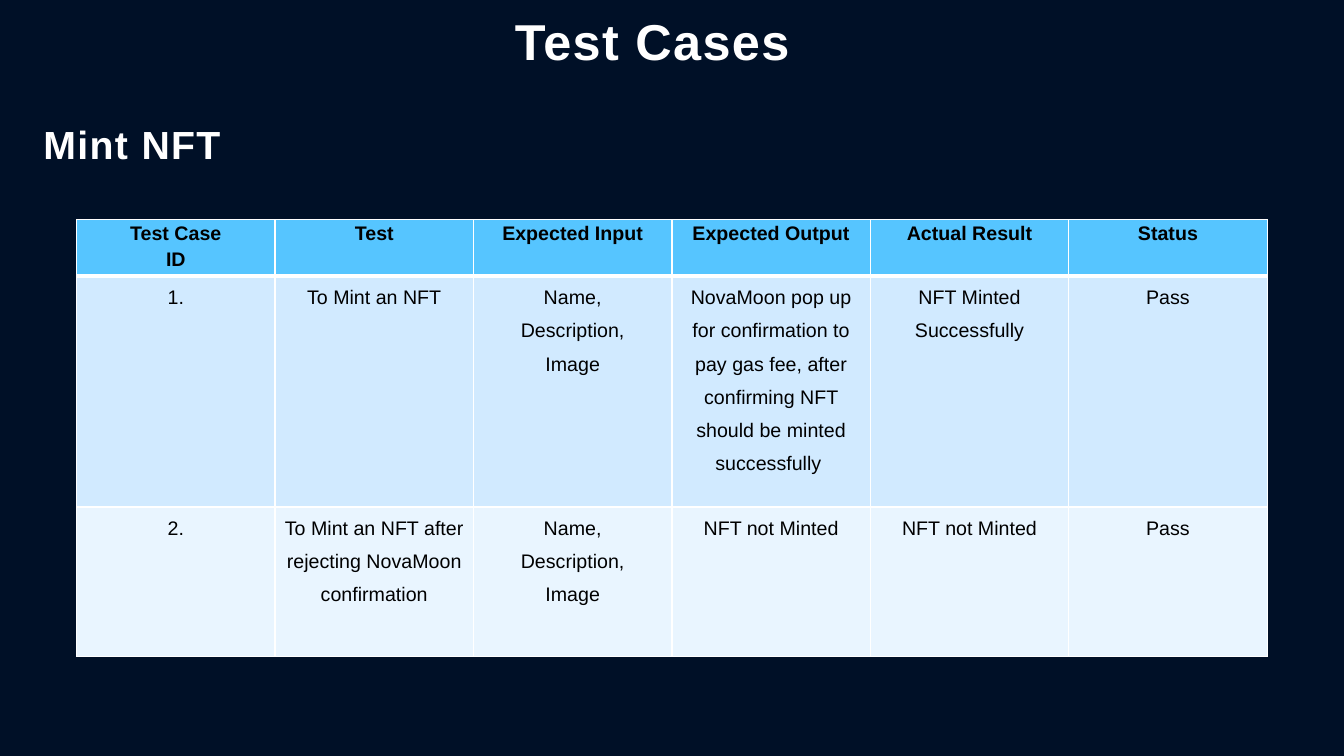
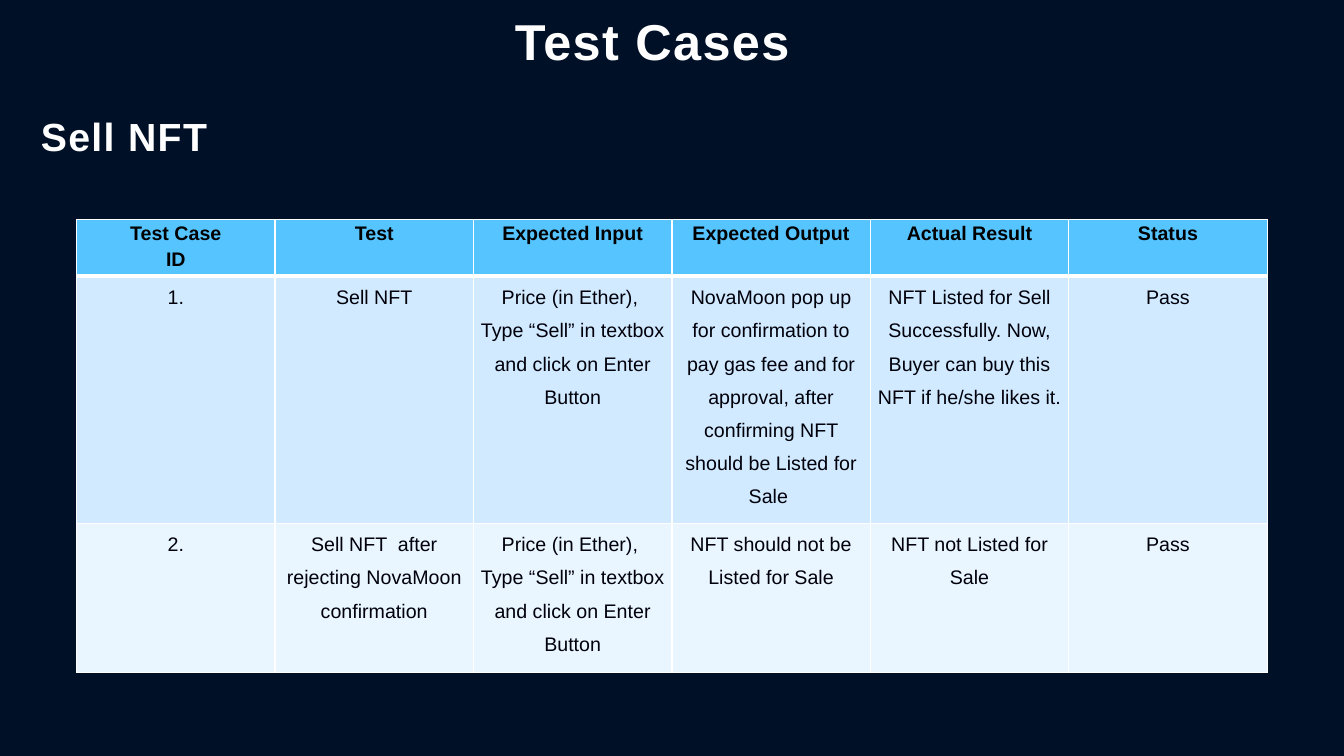
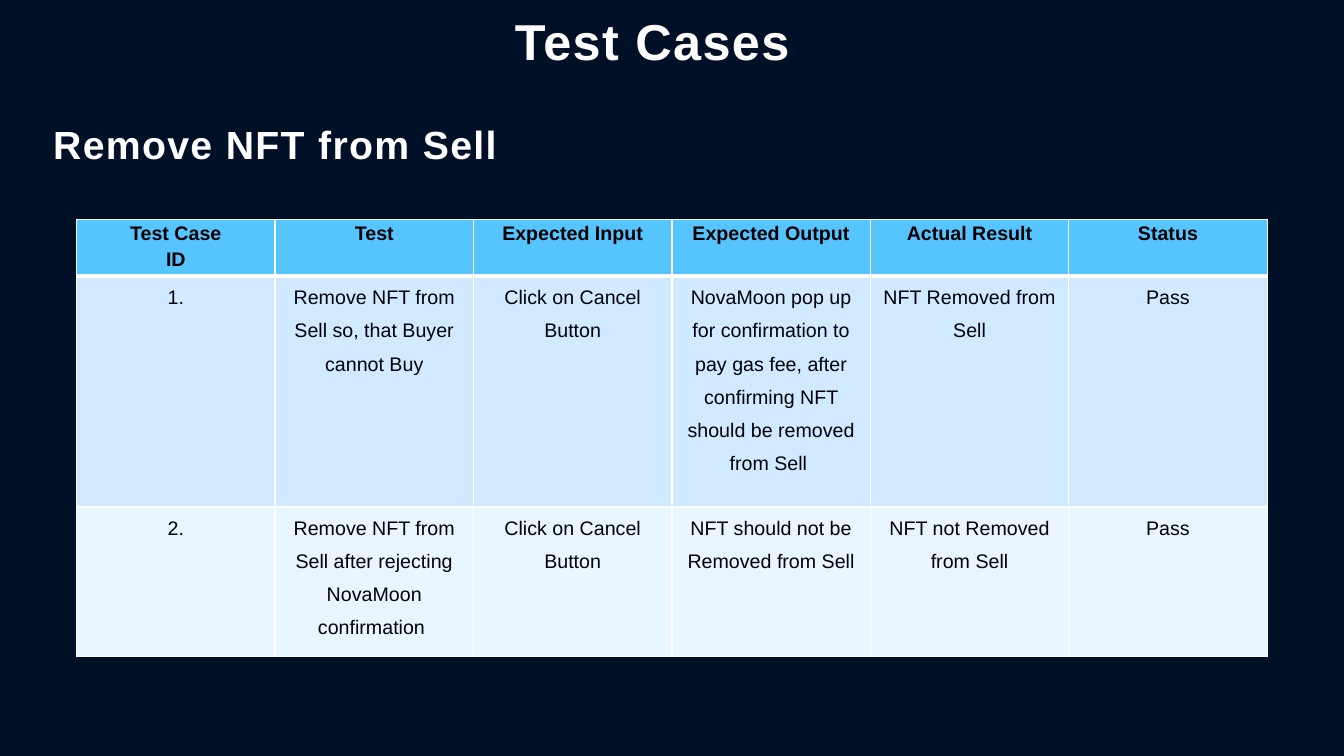
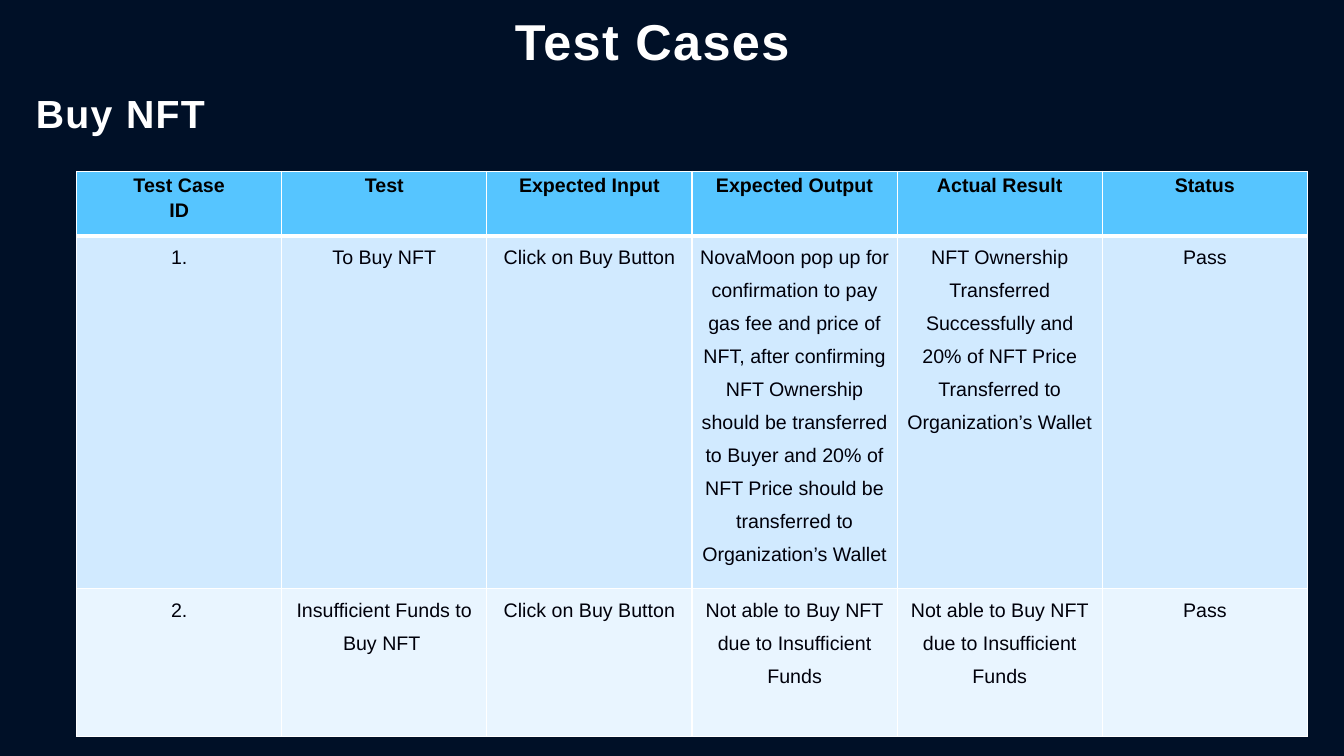
"""Build four slides of NFT marketplace test cases."""
from lxml import etree
from pptx import Presentation
from pptx import util as u
from pptx.dml.color import RGBColor
from pptx.enum import text
from pptx.oxml.ns import qn

FONT = "Arial"
NAVY, WHITE, BLACK, INK = "001027", "FFFFFF", "000000", "00000A"
ROW_FILLS = ["56C5FF", "D1EAFF", "E9F5FF"]
TITLE = "Test Cases"
TITLE_BOX = (4.46, 0.05, 4.02, 0.79)
TABLE_LEFT = 0.76
GRID = {"top": 2.18, "width": 11.81, "rows": [0.56, 2.29, 1.48]}
TALL_GRID = {"top": 1.7, "width": 12.21, "rows": [0.64, 3.34, 1.47]}

HEADER = ["Test Case\nID", "Test", "Expected Input", "Expected Output",
          "Actual Result", "Status"]
MINT_INPUT = "Name,\nDescription,\nImage"
SELL_INPUT = "Price (in Ether), \nType “Sell” in textbox and click on Enter Button"
NO_FUNDS = "Not able to Buy NFT due to Insufficient Funds"

SLIDES = [
    {"heading": "Mint NFT", "box": (0.21, 1.14, 2.2, 0.63),
     "grid": GRID, "color": BLACK, "cases": [
         ["To Mint an NFT", MINT_INPUT,
          "NovaMoon pop up for confirmation to pay gas fee, after confirming "
          "NFT should be minted successfully ",
          "NFT Minted Successfully", "Pass"],
         ["To Mint an NFT after rejecting NovaMoon confirmation", MINT_INPUT,
          "NFT not Minted", "NFT not Minted", "Pass"]]},
    {"heading": "Sell NFT", "box": (0.13, 1.07, 2.2, 0.63),
     "grid": GRID, "color": INK, "cases": [
         ["Sell NFT", SELL_INPUT,
          "NovaMoon pop up for confirmation to pay gas fee and for approval, "
          "after confirming NFT should be Listed for Sale ",
          "NFT Listed for Sell Successfully. Now, Buyer can buy this NFT "
          "if he/she likes it.", "Pass"],
         ["Sell NFT  after rejecting NovaMoon confirmation", SELL_INPUT,
          "NFT should not be Listed for Sale", "NFT not Listed for Sale",
          "Pass"]]},
    {"heading": "Remove NFT from Sell", "box": (0.21, 1.14, 5.04, 0.63),
     "grid": GRID, "color": INK, "cases": [
         ["Remove NFT from Sell so, that Buyer cannot Buy",
          "Click on Cancel Button",
          "NovaMoon pop up for confirmation to pay gas fee, after confirming "
          "NFT should be removed from Sell ",
          "NFT Removed from Sell", "Pass"],
         ["Remove NFT from Sell after rejecting NovaMoon confirmation ",
          "Click on Cancel Button", "NFT should not be Removed from Sell",
          "NFT not Removed from Sell", "Pass"]]},
    {"heading": "Buy NFT", "box": (0.21, 0.84, 1.97, 0.63),
     "grid": TALL_GRID, "color": INK, "cases": [
         ["To Buy NFT", "Click on Buy Button",
          "NovaMoon pop up for confirmation to pay gas fee and price of NFT, "
          "after confirming NFT Ownership should be transferred to Buyer and "
          "20% of NFT Price should be transferred to Organization’s Wallet",
          "NFT Ownership Transferred Successfully and 20% of NFT Price "
          "Transferred to Organization’s Wallet", "Pass"],
         ["Insufficient Funds to Buy NFT ", "Click on Buy Button", NO_FUNDS,
          NO_FUNDS, "Pass"]]},
]


def rgb(value):
    return RGBColor.from_string(value)


def write(tf, value, size, color, bold, spacing=None):
    tf.text = value
    tf.word_wrap = True
    for p in tf.paragraphs:
        p.alignment = text.PP_ALIGN.CENTER
        p.line_spacing = spacing
        for r in p.runs:
            r.font.name, r.font.size, r.font.bold = FONT, u.Pt(size), bold
            r.font.color.rgb = rgb(color)


def add_heading(s, value, box, size):
    tf = s.shapes.add_textbox(*map(u.Inches, box)).text_frame
    write(tf, value, size, WHITE, True)
    tf.paragraphs[0].runs[0].font._element.set("spc", "100")


def add_borders(cell, top, bottom):
    tc_pr = cell._tc.get_or_add_tcPr()
    for tag, width in (("a:lnL", 1), ("a:lnR", 1), ("a:lnT", top), ("a:lnB", bottom)):
        ln = etree.SubElement(tc_pr, qn(tag), w=str(u.Pt(width)))
        fill = etree.SubElement(ln, qn("a:solidFill"))
        etree.SubElement(fill, qn("a:srgbClr"), val=WHITE)


def style_cell(cell, value, row, color):
    is_header = row == 0
    cell.margin_left = cell.margin_right = u.Inches(0.07)
    cell.margin_top = cell.margin_bottom = 0
    add_borders(cell, 3 if row == 1 else 1, 3 if is_header else 1)
    cell.fill.solid()
    cell.fill.fore_color.rgb = rgb(ROW_FILLS[row])
    write(cell.text_frame, value, 14, BLACK if is_header else color,
          is_header, 1.15 if is_header else 1.5)


def add_cases(s, grid, cases, color):
    rows = [HEADER] + [[f"{n}.", *case] for n, case in enumerate(cases, 1)]
    table = s.shapes.add_table(
        len(rows), len(HEADER), u.Inches(TABLE_LEFT), u.Inches(grid["top"]),
        u.Inches(grid["width"]), u.Inches(sum(grid["rows"]))).table
    for col in table.columns:
        col.width = u.Inches(grid["width"] / len(HEADER))
    for i, values in enumerate(rows):
        table.rows[i].height = u.Inches(grid["rows"][i])
        for j, value in enumerate(values):
            style_cell(table.cell(i, j), value, i, color)


def main():
    prs = Presentation()
    prs.slide_width, prs.slide_height = u.Inches(13.33), u.Inches(7.5)
    background = prs.slide_master.background.fill
    background.solid()
    background.fore_color.rgb = rgb(NAVY)
    for item in SLIDES:
        s = prs.slides.add_slide(prs.slide_layouts[6])
        add_heading(s, TITLE, TITLE_BOX, 36)
        add_heading(s, item["heading"], item["box"], 28)
        add_cases(s, item["grid"], item["cases"], item["color"])
    prs.save("out.pptx")


if __name__ == "__main__":
    main()
